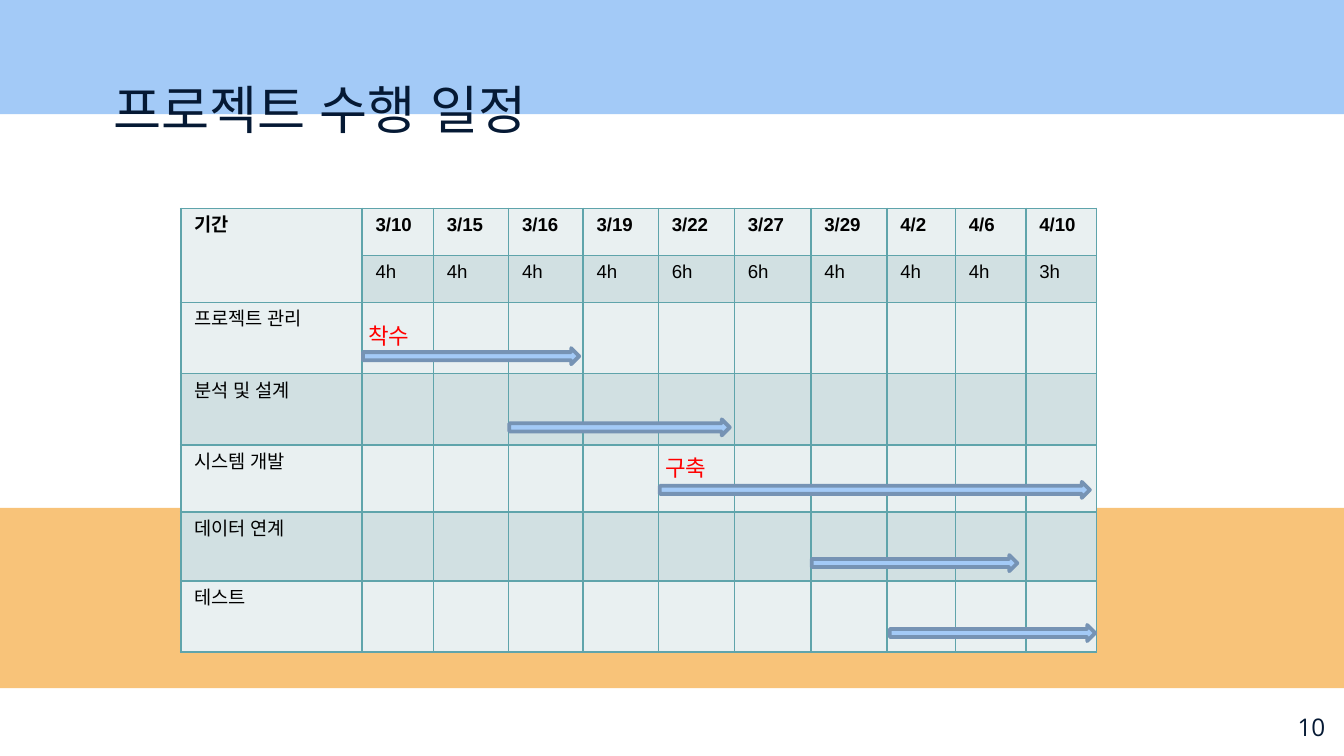
import dataclasses

import lxml.etree
import pptx
import pptx.dml.color
import pptx.enum.shapes
import pptx.enum.text
import pptx.oxml.ns
import pptx.util

PX = 4572  # EMU; 200 px to the inch
ANCHOR = pptx.enum.text.MSO_ANCHOR
ALIGN = pptx.enum.text.PP_ALIGN
SHAPE = pptx.enum.shapes.MSO_SHAPE
qualified = pptx.oxml.ns.qn


@dataclasses.dataclass(frozen=True)
class Theme:
    blue: str = "A3CAF7"
    orange: str = "F8C379"
    arrow_line: str = "7693B4"
    ink: str = "051934"
    table_text: str = "000000"
    milestone: str = "FF0000"
    table_line: str = "5FA4AB"
    row_fills: tuple = ("E9F0F1", "D1E0E2")
    font: str = "Arial"
    number_font: str = "Open Sans"
    title_size: int = 28
    number_size: int = 13
    milestone_size: int = 12
    table_size: int = 10


THEME = Theme()

DATES = ["3/10", "3/15", "3/16", "3/19", "3/22", "3/27", "3/29", "4/2", "4/6", "4/10"]
HOURS = ["4h", "4h", "4h", "4h", "6h", "6h", "4h", "4h", "4h", "3h"]
TASKS = ["프로젝트 관리", "분석 및 설계", "시스템 개발", "데이터 연계", "테스트"]
COLUMN_WIDTHS = [270, 106, 112, 111, 112, 113, 114, 113, 102, 105, 105]
ROW_HEIGHTS = [70, 70, 106, 106, 100, 103, 105]

# left, top, width of each task's bar
TASK_BARS = [(540, 518, 322), (758, 624, 328), (982, 717, 640), (1208, 826, 306),
             (1324, 930, 306)]
MILESTONES = [("착수", 528, 470), ("구축", 970, 666)]


def px(*lengths):
    return [pptx.util.Emu(length * PX) for length in lengths]


def color(value):
    return pptx.dml.color.RGBColor.from_string(value)


def format_font(font, name, size, value, bold=False):
    """Set one typeface for Latin and East Asian text alike."""
    font.name = name
    font.size = pptx.util.Pt(size)
    font.color.rgb = color(value)
    font.bold = bold
    latin = font._element.find(qualified("a:latin"))
    latin.addnext(lxml.etree.Element(qualified("a:ea"), typeface=name))


def fill_text(frame, text, name, size, value, margin_y=20, anchor=ANCHOR.MIDDLE, align=ALIGN.LEFT):
    frame.word_wrap = True
    frame.auto_size = pptx.enum.text.MSO_AUTO_SIZE.NONE
    frame.vertical_anchor = anchor
    frame.margin_left, frame.margin_right = px(20, 20)
    frame.margin_top, frame.margin_bottom = px(margin_y, margin_y)
    frame.text = text
    paragraph = frame.paragraphs[0]
    paragraph.alignment = align
    format_font(paragraph.font, name, size, value)


def add_filled_shape(slide, kind, box, fill, line=None):
    shape = slide.shapes.add_shape(kind, *px(*box))
    shape.shadow.inherit = False
    shape.fill.solid()
    shape.fill.fore_color.rgb = color(fill)
    if line:
        shape.line.color.rgb = color(line)
        shape.line.width = pptx.util.Pt(2)
    else:
        shape.line.fill.background()


def add_title(slide, text):
    """Fill the title placeholder and bring it in front of the bands."""
    title = slide.shapes.title
    title.left, title.top, title.width, title.height = px(149, 99, 1546, 126)
    fill_text(title.text_frame, text, THEME.font, THEME.title_size, THEME.ink)
    slide.shapes.element.append(title.element)


def add_page_number(slide, text):
    box = slide.shapes.add_textbox(*px(1872, 1038, 120, 86))
    fill_text(box.text_frame, text, THEME.number_font, THEME.number_size, THEME.ink,
              align=ALIGN.RIGHT)


def add_milestone(slide, text, left, top):
    box = slide.shapes.add_textbox(*px(left, top, 306, 60))
    fill_text(box.text_frame, text, THEME.font, THEME.milestone_size, THEME.milestone,
              margin_y=10, anchor=ANCHOR.TOP)


def set_cell_borders(cell):
    """Insert the four border lines ahead of the cell's fill."""
    properties = cell._tc.get_or_add_tcPr()
    for index, side in enumerate(("lnL", "lnR", "lnT", "lnB")):
        line = lxml.etree.Element(qualified("a:" + side), w=str(pptx.util.Pt(1)))
        fill = lxml.etree.SubElement(line, qualified("a:solidFill"))
        lxml.etree.SubElement(fill, qualified("a:srgbClr"), val=THEME.table_line)
        properties.insert(index, line)


def format_cell(cell, text, fill, bold):
    cell.text = text
    cell.margin_left, cell.margin_right, cell.margin_top, cell.margin_bottom = px(20, 20, 10, 10)
    format_font(cell.text_frame.paragraphs[0].font, THEME.font, THEME.table_size,
                THEME.table_text, bold)
    cell.fill.solid()
    cell.fill.fore_color.rgb = color(fill)
    set_cell_borders(cell)


def add_schedule(slide):
    rows = [["기간", *DATES], ["", *HOURS]] + [[task] + [""] * len(DATES) for task in TASKS]
    box = px(269, 310, sum(COLUMN_WIDTHS), sum(ROW_HEIGHTS))
    table = slide.shapes.add_table(len(rows), len(COLUMN_WIDTHS), *box).table
    for column, width in zip(table.columns, px(*COLUMN_WIDTHS)):
        column.width = width
    for row, height in zip(table.rows, px(*ROW_HEIGHTS)):
        row.height = height
    for row_index, texts in enumerate(rows):
        for column_index, text in enumerate(texts):
            format_cell(table.cell(row_index, column_index), text,
                        THEME.row_fills[row_index % 2], bold=row_index == 0)
    table.cell(0, 0).merge(table.cell(1, 0))


def main():
    presentation = pptx.Presentation()
    presentation.slide_width, presentation.slide_height = px(2000, 1125)
    slide = presentation.slides.add_slide(presentation.slide_layouts[5])

    add_filled_shape(slide, SHAPE.RECTANGLE, (0, 756, 2000, 268), THEME.orange)
    add_filled_shape(slide, SHAPE.RECTANGLE, (0, 0, 2000, 170), THEME.blue)
    add_title(slide, "프로젝트 수행 일정")
    add_page_number(slide, "10")
    add_schedule(slide)
    for left, top, width in TASK_BARS:
        add_filled_shape(slide, SHAPE.RIGHT_ARROW, (left, top, width, 24),
                         THEME.blue, THEME.arrow_line)
    for text, left, top in MILESTONES:
        add_milestone(slide, text, left, top)

    presentation.save("out.pptx")


if __name__ == "__main__":
    main()
